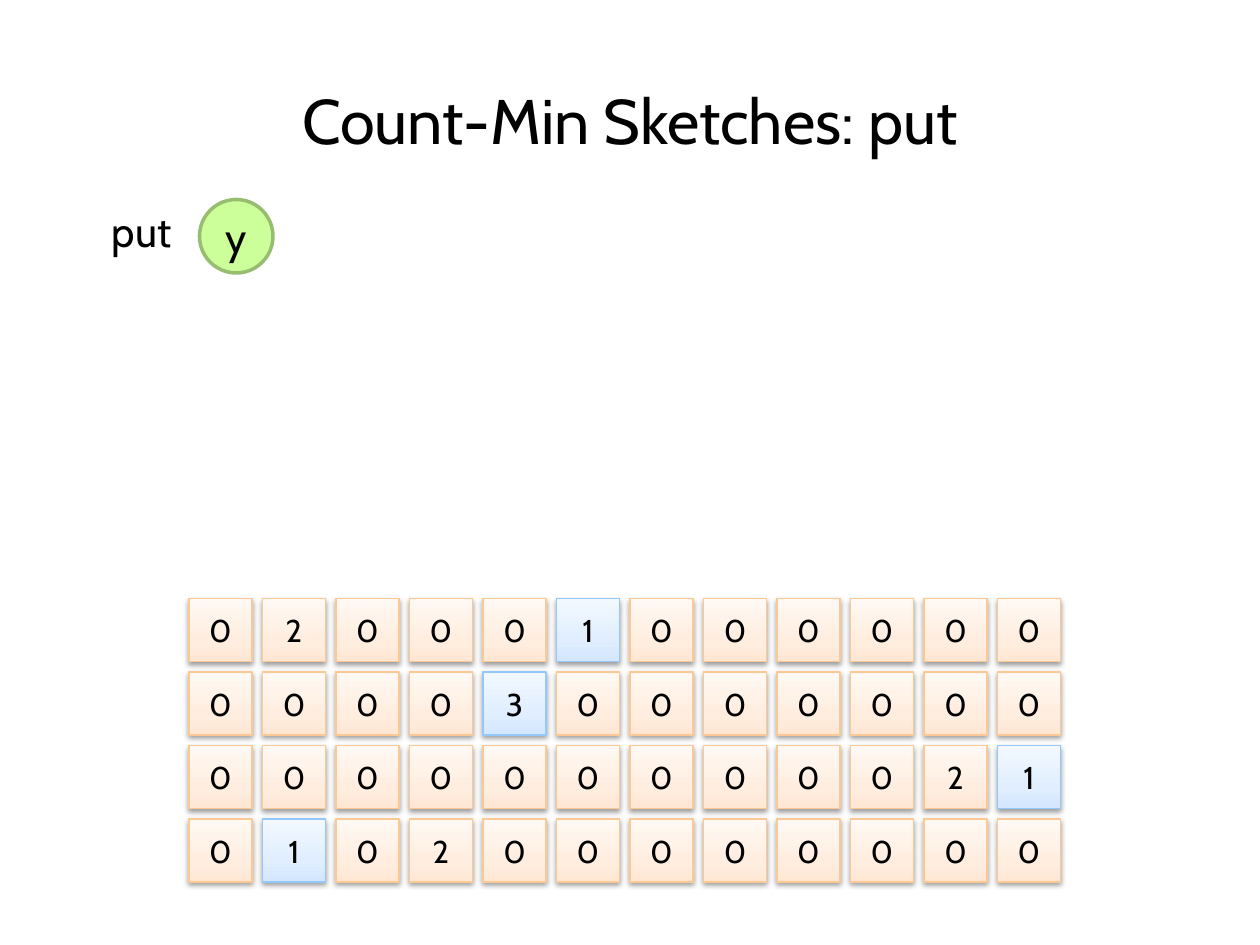
"""Build the Count-Min Sketches slide: an item to put and its grid of counters."""
import copy
import dataclasses

import pptx
import pptx.dml.color
import pptx.enum.shapes
import pptx.enum.text
import pptx.oxml
import pptx.oxml.ns
import pptx.util

EMU_PER_PX = 7620
FONT = "Cabin"
BLACK = "000000"
SHAPES = pptx.enum.shapes.MSO_SHAPE
ANCHORS = pptx.enum.text.MSO_ANCHOR
AUTO_SIZE = pptx.enum.text.MSO_AUTO_SIZE

GRID_LEFT, GRID_TOP = 180, 570
CELL_SIZE, CELL_PITCH = 60, 70
STOP_POSITIONS = (0, 0.35, 1)
SHADOW_XML = (
    f'<a:outerShdw {pptx.oxml.ns.nsdecls("a")} blurRad="40000" dist="20000" '
    'dir="5400000" rotWithShape="0"><a:srgbClr val="000000">'
    '<a:alpha val="38000"/></a:srgbClr></a:outerShdw>'
)


@dataclasses.dataclass(frozen=True)
class Box:
    left: int
    top: int
    width: int
    height: int

    def emu(self) -> tuple[int, ...]:
        return tuple(px(length) for length in dataclasses.astuple(self))


@dataclasses.dataclass(frozen=True)
class CellStyle:
    stops: tuple[str, str, str]
    line: str


@dataclasses.dataclass(frozen=True)
class CounterRow:
    counts: tuple[int, ...]
    hashed_column: int


PLAIN = CellStyle(("FFE7D4", "FFEEE0", "FFF8F3"), "FCC893")
HASHED = CellStyle(("D4E7FF", "E0EEFF", "F3F8FF"), "93C8FC")

ROWS = (
    CounterRow((0, 2, 0, 0, 0, 1, 0, 0, 0, 0, 0, 0), 5),
    CounterRow((0, 0, 0, 0, 3, 0, 0, 0, 0, 0, 0, 0), 4),
    CounterRow((0, 0, 0, 0, 0, 0, 0, 0, 0, 0, 2, 1), 11),
    CounterRow((0, 1, 0, 2, 0, 0, 0, 0, 0, 0, 0, 0), 1),
)


def px(length: int) -> pptx.util.Emu:
    return pptx.util.Emu(length * EMU_PER_PX)


def color(value: str) -> pptx.dml.color.RGBColor:
    return pptx.dml.color.RGBColor.from_string(value)


def write(shape, text: str, size: int, anchor=ANCHORS.TOP) -> None:
    frame = shape.text_frame
    frame.word_wrap = True
    frame.vertical_anchor = anchor
    paragraph = frame.paragraphs[0]
    paragraph.alignment = pptx.enum.text.PP_ALIGN.CENTER
    run = paragraph.add_run()
    run.text = text
    run.font.name = FONT
    run.font.size = pptx.util.Pt(size)
    run.font.color.rgb = color(BLACK)


def outline(shape, line_color: str, width: float) -> None:
    shape.line.color.rgb = color(line_color)
    shape.line.width = pptx.util.Pt(width)


def fill_gradient(shape, stops: tuple[str, ...]) -> None:
    shape.fill.gradient()
    shape.fill.gradient_angle = 90
    stop_list = shape._element.spPr.find(".//" + pptx.oxml.ns.qn("a:gsLst"))
    stop_list.append(copy.deepcopy(stop_list[-1]))
    for stop, position, value in zip(shape.fill.gradient_stops, STOP_POSITIONS, stops):
        stop.position = position
        stop.color.rgb = color(value)


def add_shadow(shape) -> None:
    shape.shadow.inherit = False
    effects = shape._element.spPr.find(pptx.oxml.ns.qn("a:effectLst"))
    effects.append(pptx.oxml.parse_xml(SHADOW_XML))


def add_cell(group, box: Box, count: int, style: CellStyle) -> None:
    cell = group.shapes.add_shape(SHAPES.RECTANGLE, *box.emu())
    fill_gradient(cell, style.stops)
    outline(cell, style.line, 0.75)
    add_shadow(cell)
    write(cell, str(count), 18, ANCHORS.MIDDLE)


def add_counters(slide) -> None:
    group = slide.shapes.add_group_shape()
    for row_index, row in enumerate(ROWS):
        for column, count in enumerate(row.counts):
            box = Box(
                GRID_LEFT + column * CELL_PITCH,
                GRID_TOP + row_index * CELL_PITCH,
                CELL_SIZE,
                CELL_SIZE,
            )
            style = HASHED if column == row.hashed_column else PLAIN
            add_cell(group, box, count, style)


def add_item(slide, box: Box, text: str) -> None:
    item = slide.shapes.add_shape(SHAPES.OVAL, *box.emu())
    item.shadow.inherit = False
    item.fill.solid()
    item.fill.fore_color.rgb = color("CCFF99")
    outline(item, "97BD71", 2)
    write(item, text, 24, ANCHORS.MIDDLE)


def add_label(slide, box: Box, text: str) -> None:
    label = slide.shapes.add_textbox(*box.emu())
    write(label, text, 24)
    label.text_frame.auto_size = AUTO_SIZE.SHAPE_TO_FIT_TEXT


def set_title(slide, box: Box, text: str) -> None:
    title = slide.shapes.title
    title.left, title.top, title.width, title.height = box.emu()
    write(title, text, 36)
    title.text_frame.auto_size = AUTO_SIZE.NONE


def main() -> None:
    presentation = pptx.Presentation()
    presentation.slide_width, presentation.slide_height = px(1200), px(900)
    slide = presentation.slides.add_slide(presentation.slide_layouts[5])
    set_title(slide, Box(0, 72, 1200, 90), "Count-Min Sketches: put")
    add_counters(slide)
    add_item(slide, Box(190, 190, 70, 70), "y")
    add_label(slide, Box(80, 190, 110, 60), "put")
    presentation.save("out.pptx")


if __name__ == "__main__":
    main()
